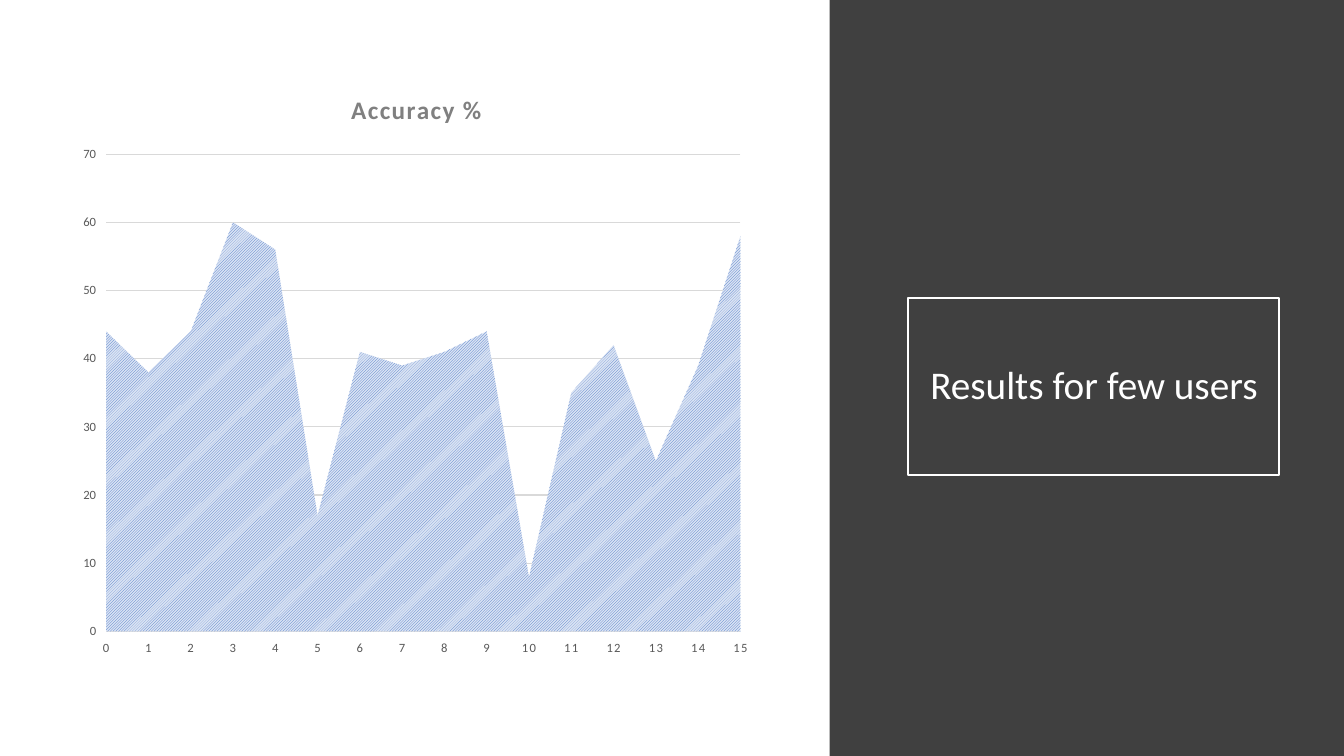
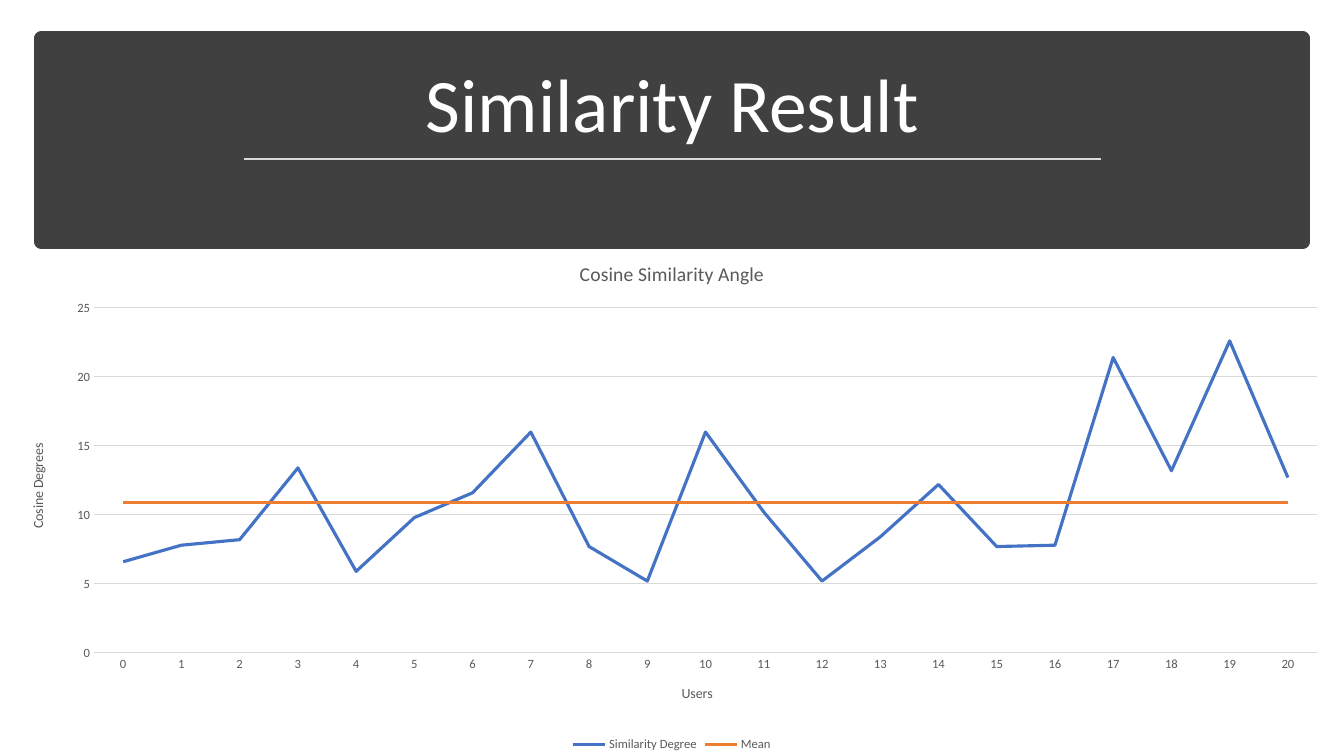
from lxml import etree
from pptx import Presentation
from pptx.chart.data import CategoryChartData
from pptx.dml.color import RGBColor
from pptx.enum.chart import XL_CHART_TYPE as ChartType
from pptx.enum.chart import XL_LEGEND_POSITION as LegendPosition
from pptx.enum.chart import XL_TICK_MARK as TickMark
from pptx.enum.dml import MSO_PATTERN as Pattern
from pptx.enum.shapes import MSO_CONNECTOR as Connector
from pptx.enum.shapes import MSO_SHAPE as Shape
from pptx.enum.text import MSO_ANCHOR as Anchor
from pptx.enum.text import PP_ALIGN as Align
from pptx.oxml.ns import qn
from pptx.util import Inches, Pt

FONT = "Calibri"
DARK = RGBColor(0x40, 0x40, 0x40)
WHITE = RGBColor(0xFF, 0xFF, 0xFF)
RULE = RGBColor(0xD9, 0xD9, 0xD9)
LABEL = RGBColor(0x59, 0x59, 0x59)
GRAY = RGBColor(0x80, 0x80, 0x80)
BLUE = RGBColor(0x44, 0x72, 0xC4)
PALE_BLUE = RGBColor(0xDA, 0xE3, 0xF3)
ORANGE = RGBColor(0xED, 0x7D, 0x31)

ACCURACY = [44, 38, 44, 60, 56, 17, 41, 39, 41, 44, 8, 35, 42, 25, 39, 58]
SIMILARITY = [6.6, 7.8, 8.2, 13.4, 5.9, 9.8, 11.6, 16, 7.7, 5.2, 16, 10.2,
              5.2, 8.4, 12.2, 7.7, 7.8, 21.4, 13.2, 22.6, 12.7]
MEAN = [10.9] * len(SIMILARITY)


def add_title(slide, text, size, place, anchor):
    box = slide.shapes.add_textbox(*map(Inches, place))
    frame = box.text_frame
    frame.word_wrap = True
    frame.vertical_anchor = anchor
    para = frame.paragraphs[0]
    para.alignment = Align.CENTER
    para.line_spacing = 0.9
    span = para.add_run()
    span.text = text
    span.font.name, span.font.size = FONT, Pt(size)
    span.font.color.rgb = WHITE
    return box


def add_styled_chart(slide, kind, place, series, plot_area, tick, top, step):
    data = CategoryChartData()
    data.categories = [str(n) for n in range(len(series[0][1]))]
    for name, values in series:
        data.add_series(name, values)
    chart = slide.shapes.add_chart(kind, *map(Inches, place), data).chart
    chart.font.name, chart.font.size = FONT, Pt(10)
    chart.plots[0].vary_by_categories = False
    for axis in (chart.category_axis, chart.value_axis):
        axis.major_tick_mark = tick
        axis.minor_tick_mark = TickMark.NONE
        axis.format.line.fill.background()
        font = axis.tick_labels.font
        font.name, font.size = FONT, Pt(9)
        font.color.rgb = LABEL
    scale = chart.value_axis
    scale.minimum_scale, scale.maximum_scale, scale.major_unit = 0, top, step
    scale.has_major_gridlines = True
    scale.major_gridlines.format.line.color.rgb = RULE
    scale.major_gridlines.format.line.width = Pt(0.75)

    # Fixed inner plot area, as fractions of the chart
    area = chart._chartSpace.find(".//" + qn("c:plotArea"))
    for old in area.findall(qn("c:layout")):
        area.remove(old)
    layout = etree.Element(qn("c:layout"))
    manual = etree.SubElement(layout, qn("c:manualLayout"))
    rules = [("layoutTarget", "inner"), ("xMode", "edge"), ("yMode", "edge")]
    for tag, value in rules + list(zip("xywh", plot_area)):
        etree.SubElement(manual, qn("c:" + tag)).set("val", str(value))
    area.insert(0, layout)
    return chart


deck = Presentation()
deck.slide_width, deck.slide_height = Inches(13.33), Inches(7.5)
pages = [deck.slides.add_slide(deck.slide_layouts[6]) for _ in range(2)]

# Dark bands shared by both slides
bands = []
for page, place in zip(pages, [(8.23, 0, 5.1, 7.5), (0.41, 0.38, 12.51, 2.02)]):
    band = page.shapes.add_shape(Shape.RECTANGLE, *map(Inches, place))
    band.shadow.inherit = False
    band.fill.solid()
    band.fill.fore_color.rgb = DARK
    band.line.fill.background()
    bands.append(band)
accuracy_page, similarity_page = pages

# Slide 1: framed title and accuracy area chart
frame_box = add_title(accuracy_page, "Results for few users", 28,
                      (9.01, 2.96, 3.68, 1.75), Anchor.MIDDLE)
frame_box.line.color.rgb = WHITE
frame_box.line.width = Pt(1.5)

accuracy = add_styled_chart(
    accuracy_page, ChartType.AREA, (0.71, 0.7, 6.84, 5.92),
    [("Accuracy %", ACCURACY)], (0.05, 0.14, 0.92, 0.8),
    TickMark.OUTSIDE, 70, 10)
accuracy.has_legend = False
fill = accuracy.plots[0].series[0].format.fill
fill.patterned()
fill.pattern = Pattern.LIGHT_UPWARD_DIAGONAL
fill.fore_color.rgb, fill.back_color.rgb = BLUE, PALE_BLUE
# The area starts on the value axis
accuracy._chartSpace.find(".//" + qn("c:crossBetween")).set("val", "midCat")
label_font = accuracy.category_axis._element.find(".//" + qn("a:defRPr"))
label_font.set("spc", "100")

# Slide 2: band outline, title, rule and similarity line chart
bands[1].line.color.rgb = DARK
bands[1].line.width = Pt(10)
add_title(similarity_page, "Similarity Result", 54,
          (0.58, 0.51, 12.18, 1.02), Anchor.BOTTOM)
rule = similarity_page.shapes.add_connector(
    Connector.STRAIGHT, Inches(2.42), Inches(1.58), Inches(10.92), Inches(1.58))
rule.line.color.rgb = RULE
rule.line.width = Pt(1.75)
etree.SubElement(rule._element.spPr, qn("a:effectLst"))

similarity = add_styled_chart(
    similarity_page, ChartType.LINE, (0, 2.39, 13.33, 5.11),
    [("Similarity Degree", SIMILARITY), ("Mean", MEAN)],
    (0.07, 0.13, 0.91, 0.67), TickMark.NONE, 25, 5)
similarity.category_axis.format.line.color.rgb = RULE
similarity.category_axis.format.line.width = Pt(0.75)
for line, color in zip(similarity.plots[0].series, (BLUE, ORANGE)):
    line.smooth = False
    line.format.line.color.rgb = color
    line.format.line.width = Pt(2.25)
similarity.has_legend = True
legend = similarity.legend
legend.position = LegendPosition.BOTTOM
legend.include_in_layout = False
legend.font.name, legend.font.size = FONT, Pt(9)
legend.font.color.rgb = LABEL

# Chart and axis titles: owner, text, size, colour, bold, letter spacing
for owner, text, size, color, bold, spacing in [
        (accuracy, "Accuracy %", 18, GRAY, True, 100),
        (similarity, "Cosine Similarity Angle", 14, LABEL, False, 0),
        (similarity.category_axis, "Users", 10, LABEL, False, 0),
        (similarity.value_axis, "Cosine Degrees", 10, LABEL, False, 0)]:
    owner.has_title = True
    heading = owner.chart_title if hasattr(owner, "chart_title") else owner.axis_title
    span = heading.text_frame.paragraphs[0].add_run()
    span.text = text
    span.font.name, span.font.size, span.font.bold = FONT, Pt(size), bold
    span.font.color.rgb = color
    span._r.get_or_add_rPr().set("spc", str(spacing))

deck.save("out.pptx")
